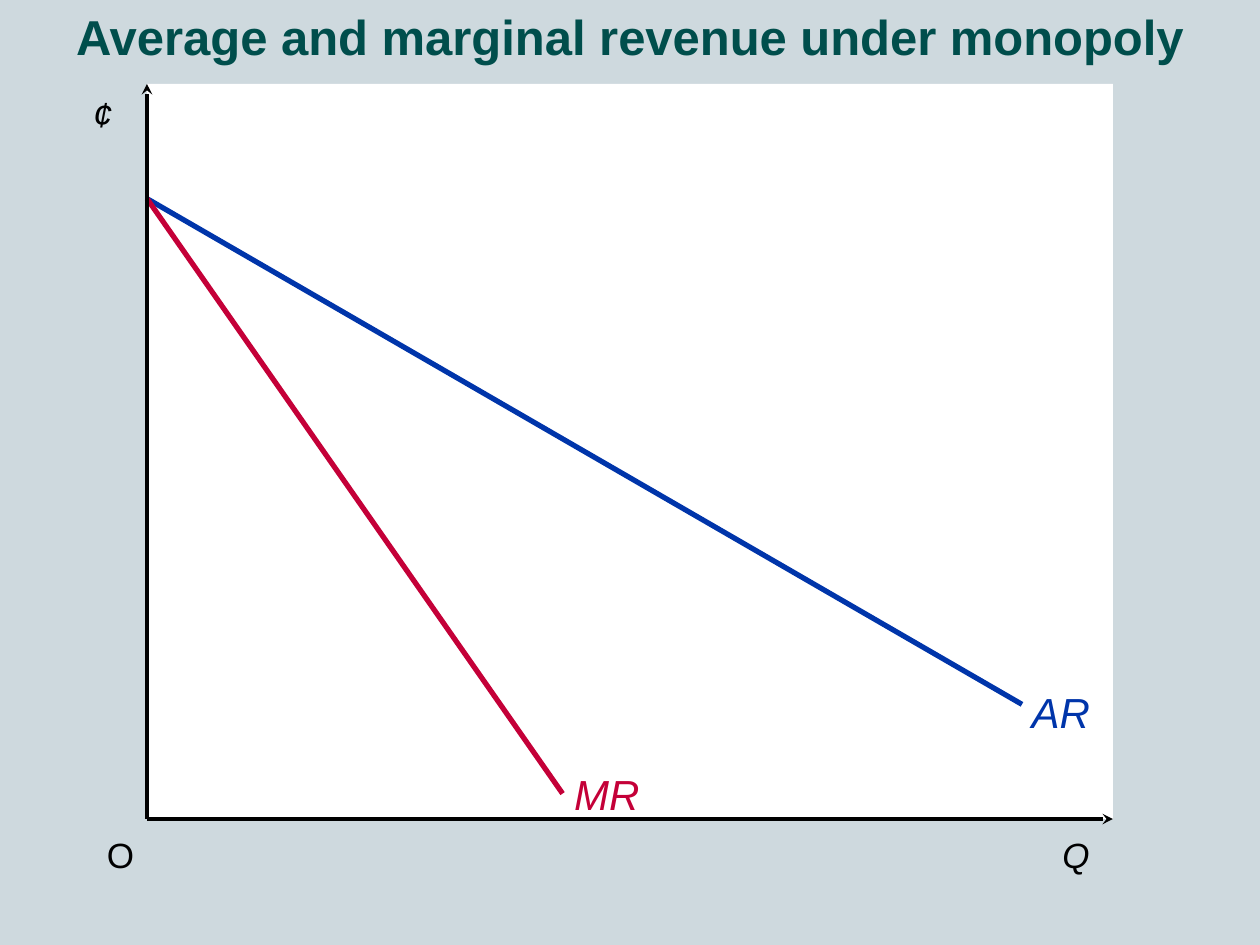
from lxml.etree import SubElement
from pptx import Presentation
from pptx.dml.color import RGBColor
from pptx.enum.shapes import MSO_CONNECTOR as Link, MSO_SHAPE as Preset
from pptx.enum.text import MSO_AUTO_SIZE as AutoSize, PP_ALIGN as Align
from pptx.oxml.ns import qn
from pptx.util import Pt

BLACK, WHITE, BACKGROUND = "000000", "FFFFFF", "CED9DE"
TITLE_GREEN, AR_BLUE, MR_RED = "004E4C", "0035AA", "C40038"

# Plot area
LEFT, TOP, RIGHT, BOTTOM = 84, 48, 636, 468


def paint(color_format, hex_color):
    color_format.rgb = RGBColor.from_string(hex_color)


def add_plot_area(slide):
    area = slide.shapes.add_shape(
        Preset.RECTANGLE, Pt(LEFT), Pt(TOP), Pt(RIGHT - LEFT), Pt(BOTTOM - TOP))
    area.shadow.inherit = False
    area.fill.solid()
    paint(area.fill.fore_color, WHITE)
    area.line.fill.background()


def add_line(slide, start, end, color, width, arrow=False):
    line = slide.shapes.add_connector(
        Link.STRAIGHT, *(Pt(value) for value in (*start, *end)))
    paint(line.line.color, color)
    line.line.width = Pt(width)
    properties = line._element.spPr
    if arrow:
        SubElement(properties.find(qn("a:ln")), qn("a:tailEnd"), type="stealth")
    SubElement(properties, qn("a:effectLst"))


def add_text(slide, text, box, size, color, bold=False, italic=False, wrap=False):
    text_box = slide.shapes.add_textbox(*(Pt(value) for value in box))
    frame = text_box.text_frame
    frame.word_wrap = wrap
    frame.auto_size = AutoSize.SHAPE_TO_FIT_TEXT
    paragraph = frame.paragraphs[0]
    run = paragraph.add_run()
    run.text = text
    font = run.font
    font.name, font.size = "Arial", Pt(size)
    font.bold, font.italic = bold, italic
    paint(font.color, color)
    return paragraph, run


def add_title(slide, text):
    paragraph, run = add_text(
        slide, text, (0, 0, 720, 41), 28, TITLE_GREEN, bold=True, wrap=True)
    paragraph.alignment = Align.CENTER
    # The text shadow has to follow the fill in the run properties
    properties = run._r.get_or_add_rPr()
    effects = SubElement(properties, qn("a:effectLst"))
    properties.find(qn("a:solidFill")).addnext(effects)
    shadow = SubElement(effects, qn("a:outerShdw"),
                        dist="35921", dir="2700000", algn="ctr")
    SubElement(shadow, qn("a:srgbClr"), val=BLACK)


def main():
    prs = Presentation()
    prs.slide_width, prs.slide_height = Pt(720), Pt(540)
    slide = prs.slides.add_slide(prs.slide_layouts[6])
    slide.background.fill.solid()
    paint(slide.background.fill.fore_color, BACKGROUND)

    add_plot_area(slide)

    # Axis labels
    add_text(slide, "¢", (46, 49.5, 31, 31), 20, BLACK, italic=True)
    add_text(slide, "Q", (600, 473, 36, 31), 20, BLACK, italic=True)
    add_text(slide, "O", (54, 472.5, 30, 31), 20, BLACK)

    # Revenue curves share one intercept
    intercept = (LEFT, 113.5)
    add_line(slide, intercept, (584, 402.5), AR_BLUE, 3)
    add_text(slide, "AR", (582.5, 389, 55, 36), 24, AR_BLUE, italic=True)
    add_line(slide, intercept, (321.5, 453.5), MR_RED, 3)
    add_text(slide, "MR", (321, 435.5, 52, 36), 24, MR_RED, italic=True)

    # Axes
    origin = (LEFT, BOTTOM)
    for axis_end in ((RIGHT, BOTTOM), (LEFT, TOP)):
        add_line(slide, origin, axis_end, BLACK, 2, arrow=True)

    add_title(slide, "Average and marginal revenue under monopoly")
    prs.save("out.pptx")


if __name__ == "__main__":
    main()
